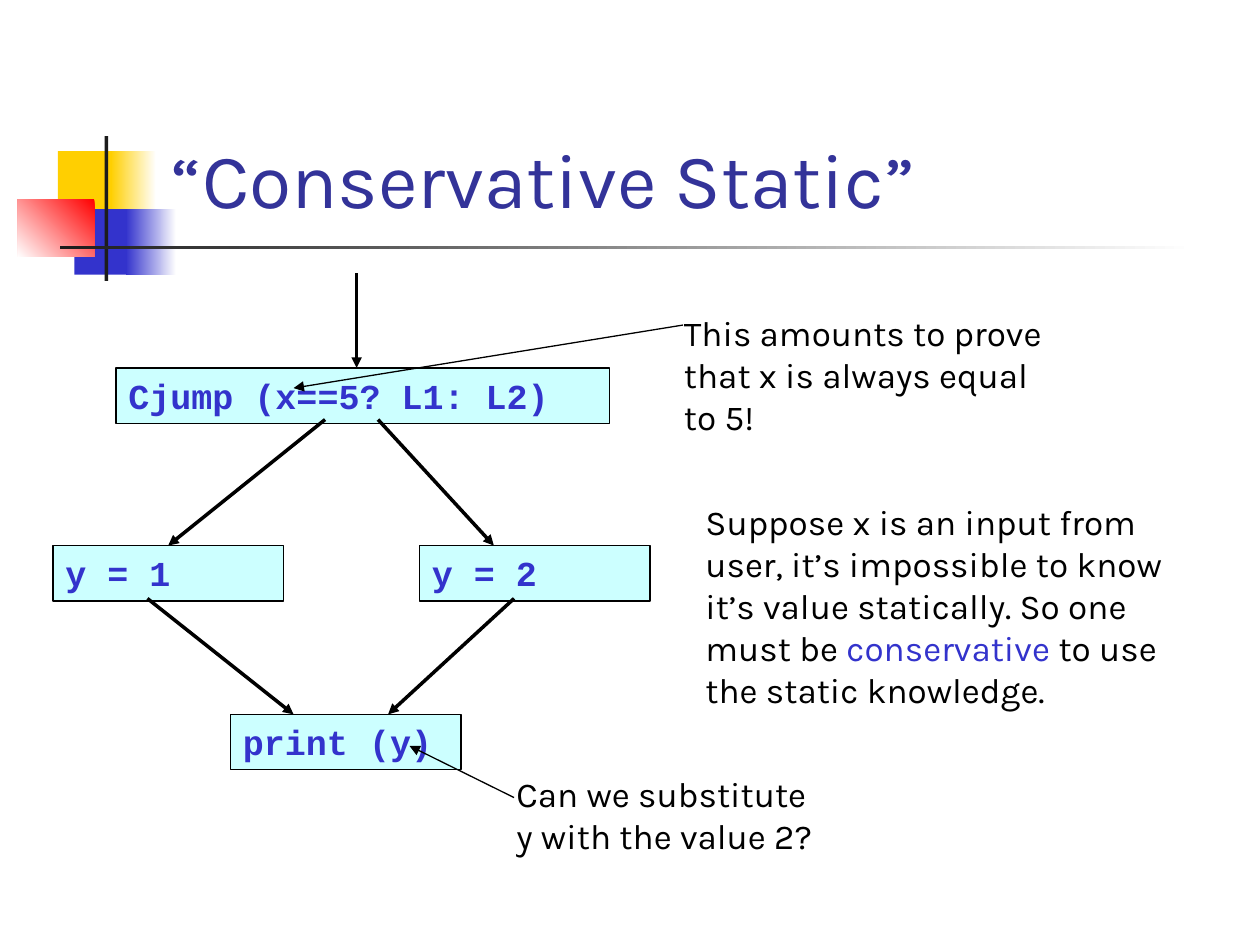
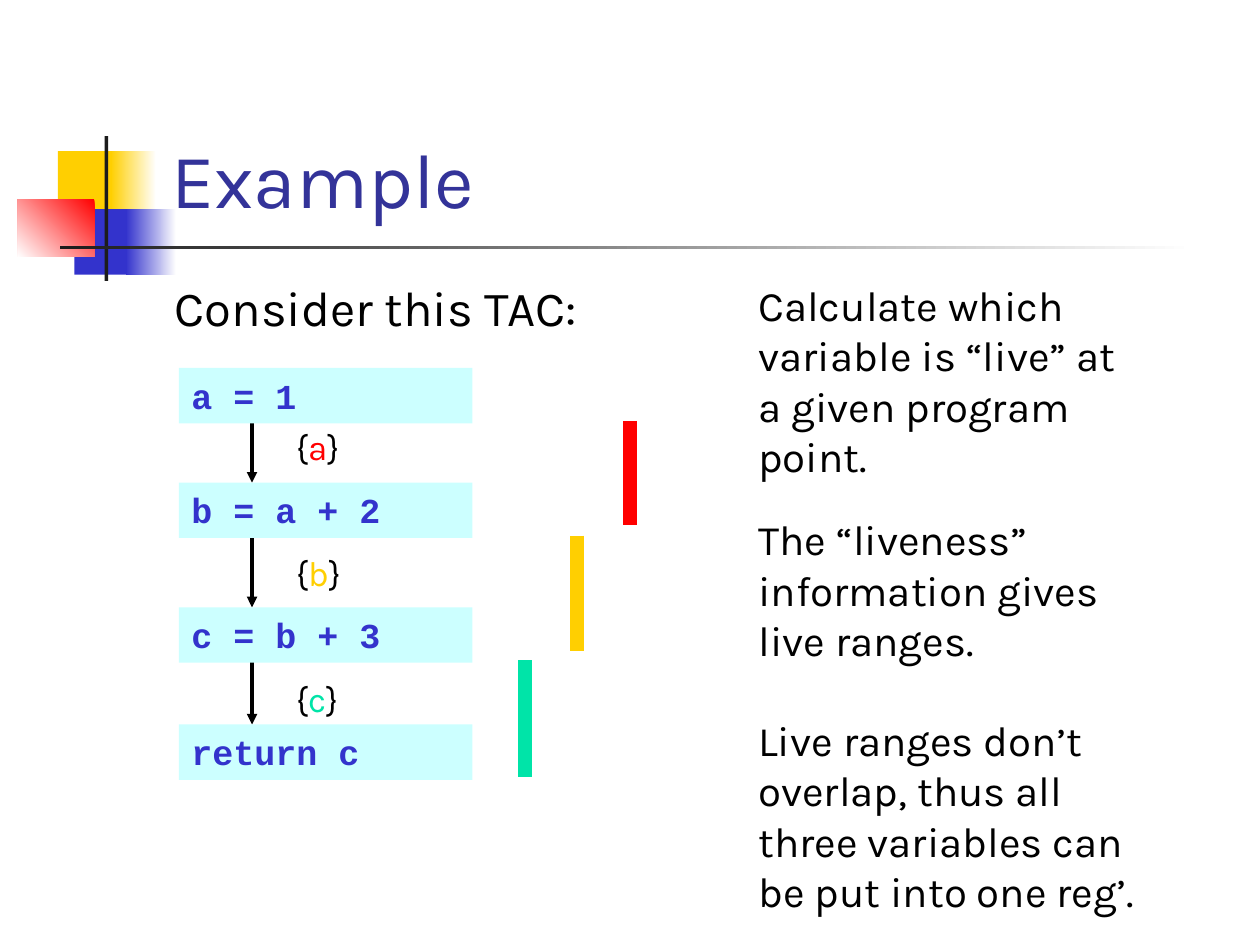
from itertools import pairwise

from lxml import etree
from pptx import Presentation
from pptx.dml.color import RGBColor
from pptx.enum.shapes import MSO_CONNECTOR, MSO_SHAPE
from pptx.enum.text import MSO_ANCHOR, MSO_AUTO_SIZE, PP_ALIGN
from pptx.oxml.ns import qn
from pptx.util import Inches, Pt

COLORS = {
    "black": "000000", "white": "FFFFFF", "ink": "1C1C1C", "title": "333399",
    "blue": "3333CC", "yellow": "FFCF01", "red": "FF0000", "green": "00E4A8",
    "code": "CCFFFF",
}
TEXT_FONT, CODE_FONT = "Karla", "Courier New"
TOP, LEFT, BOTTOM, RIGHT = range(4)
CODE_HEIGHT = 0.44

# Shared ornament: left, top, width, height, colours, clockwise gradient angle
ORNAMENT = [
    (0.46, 1.2, 0.48, 0.52, ["yellow"], None),
    (0.88, 1.2, 0.36, 0.52, ["white", "yellow"], 180),
    (0.59, 1.66, 0.46, 0.52, ["blue"], None),
    (1, 1.66, 0.4, 0.52, ["white", "blue"], 180),
    (0.14, 1.58, 0.61, 0.46, ["red", "white"], 135),
    (0.83, 1.08, 0.03, 1.15, ["ink"], None),
    (0.48, 1.95, 9, 0.03, ["white", "ink"], 180),
]

# Slide 1: branch blocks (text, left, top, width), arrows and notes
BLOCKS = {
    "test": ("Cjump (x==5? L1: L2)", 0.92, 2.92, 3.92),
    "then": ("y = 1", 0.42, 4.33, 1.83),
    "else": ("y = 2", 3.33, 4.33, 1.83),
    "print": ("print (y)", 1.83, 5.67, 1.83),
}
TEST_TO_THEN = ((2.58, 3.33), (1.33, 4.33))
FLOW = [
    ((2.83, 2.17), (2.83, 2.92)),
    ((3, 3.33), (3.92, 4.33)),
    ((1.17, 4.75), (2.33, 5.67)),
    ((4.08, 4.75), (3.08, 5.67)),
]
POINTERS = [((4.08, 6.33), (3.25, 5.92)), ((5.42, 2.58), (2.33, 3.08))]
BRANCH_NOTES = [
    (4, 6.08, 2.58, 1.1, [("Can we substitute y with the value 2?", "black")]),
    (5.33, 2.42, 3.17, 1.1,
     [("This amounts to prove that x is always equal to 5!", "black")]),
    (5.5, 3.92, 4.08, 1.77, [
        ("Suppose x is an input from user, it’s impossible to know it’s value "
         "statically. So one must be ", "black"),
        ("conservative", "blue"),
        (" to use the static knowledge.", "black"),
    ]),
]

# Slide 2: statements (text, top), live variables (name, colour, bar x), notes
STATEMENTS = [("a = 1", 2.92), ("b = a + 2", 3.83), ("c = b + 3", 4.82), ("return c", 5.75)]
LIVE_VARIABLES = [("a", "red", 5), ("b", "yellow", 4.58), ("c", "green", 4.17)]
LIVE_NOTES = [
    ("Calculate which variable is “live” at a given program point.", 2.17, 1.7),
    ("The “liveness” information gives live ranges.", 4.03, 1.3),
    ("Live ranges don’t overlap, thus all three variables can be put into one reg’.",
     5.62, 2.1),
]


def rgb(color):
    return RGBColor.from_string(COLORS[color])


def set_font(font, name, size, bold=False):
    font.name, font.size, font.bold = name, Pt(size), bold


def add_box(slide, left, top, width, height, color=None):
    """Plain rectangle without shadow or line."""
    box = slide.shapes.add_shape(
        MSO_SHAPE.RECTANGLE, *map(Inches, (left, top, width, height)))
    box.shadow.inherit = False
    box.line.fill.background()
    if color:
        box.fill.solid()
        box.fill.fore_color.rgb = rgb(color)
    return box


def add_code(slide, text, left, top, width, outlined=False):
    block = add_box(slide, left, top, width, CODE_HEIGHT, "code")
    if outlined:
        block.line.color.rgb = rgb("black")
        block.line.width = Pt(0.75)
    frame = block.text_frame
    frame.word_wrap = True
    frame.vertical_anchor = MSO_ANCHOR.TOP
    frame.auto_size = MSO_AUTO_SIZE.SHAPE_TO_FIT_TEXT
    line = frame.paragraphs[0]
    line.text, line.alignment = text, PP_ALIGN.LEFT
    set_font(line.font, CODE_FONT, 20, bold=True)
    line.font.color.rgb = rgb("blue")
    return block


def add_note(slide, left, top, width, height, runs, size=20):
    frame = slide.shapes.add_textbox(
        *map(Inches, (left, top, width, height))).text_frame
    frame.word_wrap = True
    frame.auto_size = MSO_AUTO_SIZE.SHAPE_TO_FIT_TEXT
    paragraph = frame.paragraphs[0]
    set_font(paragraph.font, TEXT_FONT, size)
    for text, color in runs:
        run = paragraph.add_run()
        run.text = text
        run.font.color.rgb = rgb(color)
    return paragraph


def add_line(slide, start, end, width, color="black", arrow=True):
    line = slide.shapes.add_connector(
        MSO_CONNECTOR.STRAIGHT, *map(Inches, (*start, *end)))
    line.line.color.rgb = rgb(color)
    line.line.width = Pt(width)
    if arrow:
        etree.SubElement(line.line._get_or_add_ln(), qn("a:tailEnd"), type="triangle")
    etree.SubElement(line.element.spPr, qn("a:effectLst"))
    return line


def add_titled_slide(prs, text):
    slide = prs.slides.add_slide(prs.slide_layouts[5])
    for left, top, width, height, colors, angle in ORNAMENT:
        if angle is None:
            add_box(slide, left, top, width, height, colors[0])
            continue
        fade = add_box(slide, left, top, width, height).fill
        fade.gradient()
        fade.gradient_angle = 360 - angle
        for stop, color in zip(fade.gradient_stops, colors):
            stop.color.rgb = rgb(color)

    # The title sits in front of the ornament
    title = slide.shapes.title
    slide.shapes.element.append(title.element)
    title.left, title.top, title.width, title.height = map(
        Inches, (1.26, 0.23, 8.52, 1.6))
    frame = title.text_frame
    frame.text = text
    frame.vertical_anchor = MSO_ANCHOR.BOTTOM
    frame.auto_size = MSO_AUTO_SIZE.NONE
    heading = frame.paragraphs[0]
    heading.alignment = PP_ALIGN.LEFT
    set_font(heading.font, TEXT_FONT, 44)
    heading.font.color.rgb = rgb("title")
    return slide


def build_branch_slide(prs):
    slide = add_titled_slide(prs, "“Conservative Static”")
    blocks = {key: add_code(slide, *block, outlined=True)
              for key, block in BLOCKS.items()}
    add_line(slide, *TEST_TO_THEN, 2).end_connect(blocks["then"], TOP)
    for start, end in FLOW:
        add_line(slide, start, end, 2)
    for note in BRANCH_NOTES:
        add_note(slide, *note)
    for start, end in POINTERS:
        add_line(slide, start, end, 0.75)


def build_liveness_slide(prs):
    slide = add_titled_slide(prs, "Example")
    intro = add_note(slide, 1.29, 2.21, 3.96, 0.54, [("Consider this TAC:", "black")], 28)
    intro.line_spacing = 0.9
    for text, top, height in LIVE_NOTES:
        add_note(slide, 5.92, top, 3.25, height, [(text, "black")], 24)

    # Between two statements: arrow, live set and live range
    tops = [top for _, top in STATEMENTS]
    for row, ((name, color, bar_x), (top, next_top)) in enumerate(
            zip(LIVE_VARIABLES, pairwise(tops))):
        start = top + 0.42
        add_line(slide, (2, start), (2, next_top), 2)
        add_note(slide, 2.25, 3.33 + row, 0.75, 0.44,
                 [("{", "black"), (name, color), ("}", "black")])
        add_line(slide, (bar_x, start), (bar_x, 4.17 + row), 8, color, arrow=False)

    for text, top in STATEMENTS:
        add_code(slide, text, 1.42, top, 2.33)


def main():
    prs = Presentation()
    prs.slide_width, prs.slide_height = Inches(10), Inches(7.5)
    build_branch_slide(prs)
    build_liveness_slide(prs)
    prs.save("out.pptx")


if __name__ == "__main__":
    main()
